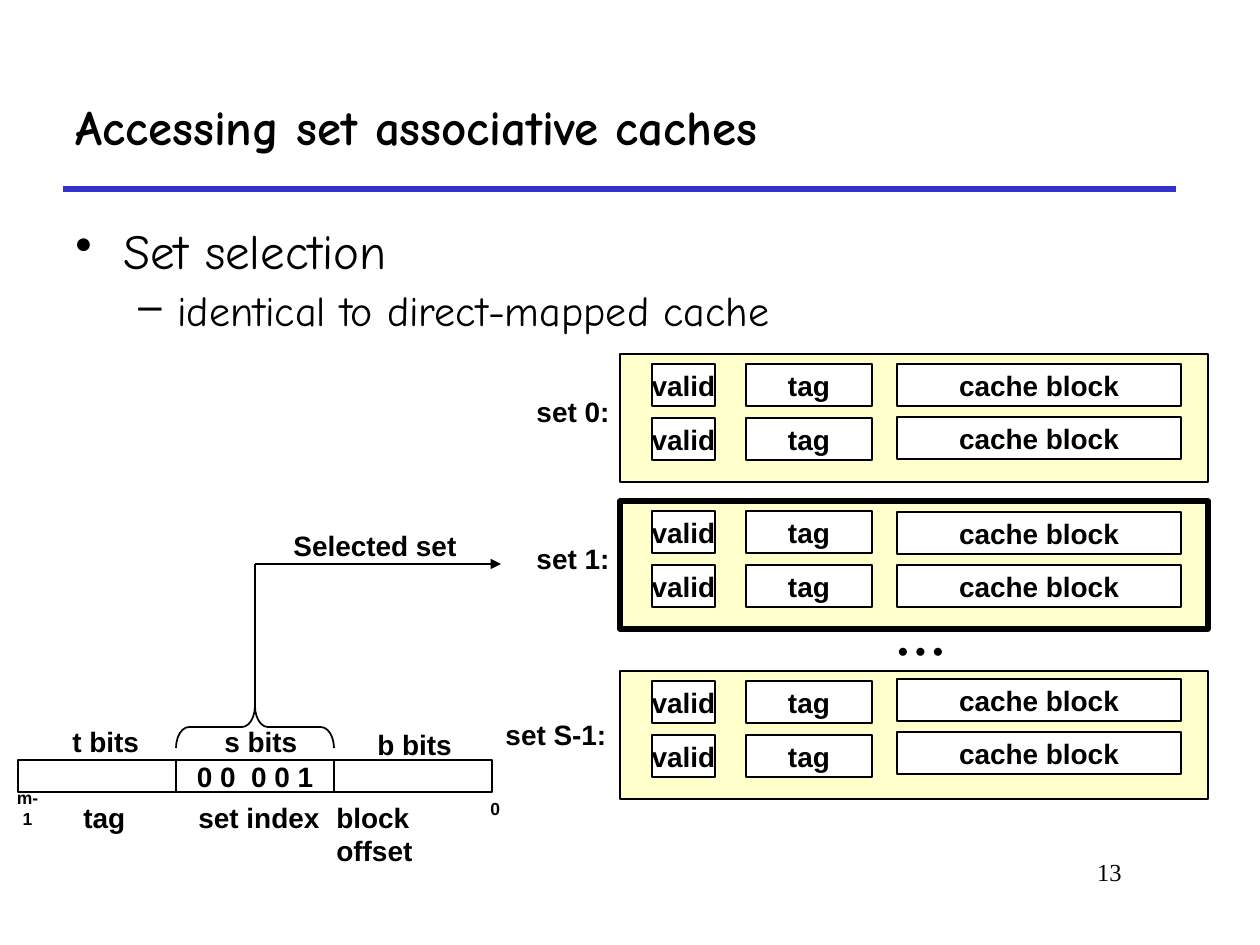
from lxml import etree
from pptx import Presentation
from pptx.dml.color import RGBColor
from pptx.enum.shapes import MSO_CONNECTOR, MSO_SHAPE
from pptx.enum.text import MSO_ANCHOR, PP_ALIGN
from pptx.oxml.ns import qn
from pptx.util import Pt

RECT, BRACE = MSO_SHAPE.RECTANGLE, MSO_SHAPE.RIGHT_BRACE
LINE = MSO_CONNECTOR.STRAIGHT
LEFT, MID, RIGHT = PP_ALIGN.LEFT, PP_ALIGN.CENTER, PP_ALIGN.RIGHT
TOP, CENTER = MSO_ANCHOR.TOP, MSO_ANCHOR.MIDDLE
BLACK = RGBColor(0, 0, 0)
WHITE = RGBColor(255, 255, 255)
CREAM = RGBColor(255, 255, 153)
BLUE = RGBColor(51, 51, 204)
PX = 914400 / 126

deck = Presentation()
deck.slide_width, deck.slide_height = round(1260 * PX), round(945 * PX)
slide = deck.slides.add_slide(deck.slide_layouts[6])
shapes = slide.shapes


def text(words, *, at, size=16, font="Arial", bold=True, align=MID,
         anchor=CENTER, wrap=False, box=False, fill=None, edge=1):
    area = [round(n * PX) for n in at]
    if box:
        shape = shapes.add_shape(RECT, *area)
        shape.shadow.inherit = False
        shape.line.color.rgb = BLACK
        shape.line.width = Pt(edge)
        if fill is None:
            shape.fill.background()
        else:
            shape.fill.solid()
            shape.fill.fore_color.rgb = fill
    else:
        shape = shapes.add_textbox(*area)
    frame = shape.text_frame
    frame.word_wrap = wrap
    frame.vertical_anchor = anchor
    para = frame.paragraphs[0]
    para.alignment = align
    if words:
        run = para.add_run()
        run.text = words
        run.font.size = Pt(size)
        run.font.name = font
        run.font.bold = bold
        run.font.color.rgb = BLACK
    return shape


def line(x1, y1, x2, y2, color=BLACK, width=1):
    wire = shapes.add_connector(LINE, *[round(n * PX) for n in (x1, y1, x2, y2)])
    wire.line.color.rgb = color
    wire.line.width = Pt(width)
    etree.SubElement(wire.element.spPr, qn("a:effectLst"))
    return wire


line(63, 189, 1176, 189, BLUE, 3)
text("13", at=(955, 851, 179, 63), size=14, font="Times New Roman",
     bold=False, align=RIGHT, anchor=TOP, wrap=True)
text("Accessing set associative caches", at=(63, 63, 1113, 126), size=28,
     font="Comic Neue", align=LEFT, wrap=True)

body = text("", at=(63, 221, 1144, 126), anchor=TOP, wrap=True).text_frame
body.add_paragraph()
items = [("Set selection", 28, 48, 48, "•", 0),
         ("identical to direct-mapped cache", 24, 102, 39, "–", 6)]
for level, (words, size, left, hang, mark, gap) in enumerate(items):
    para = body.paragraphs[level]
    para.alignment = LEFT
    para.level = level
    para.line_spacing = 0.9
    para.space_before = Pt(gap)
    props = para._p.get_or_add_pPr()
    props.set("marL", str(round(left * PX)))
    props.set("indent", str(round(-hang * PX)))
    etree.SubElement(props, qn("a:buChar"), char=mark)
    run = para.add_run()
    run.text = words
    run.font.size = Pt(size)
    run.font.name = "Comic Neue"
    run.font.color.rgb = BLACK

sets = [("set 0:", 354, 1, 524, 98, 364), ("set 1:", 501, 3, 524, 98, 512),
        ("set S-1:", 671, 1, 493, 126, 679)]
for name, top, edge, left, width, block in sets:
    panel = text("", at=(620, top, 588, 128), box=True, fill=CREAM, edge=edge)
    tint = panel.fill._xPr.find(qn("a:solidFill"))[0]
    etree.SubElement(tint, qn("a:alpha"), val="50000")
    for row in range(2):
        y = top + 10 + 54 * row
        text("valid", at=(652, y, 63, 42), box=True, fill=WHITE)
        text("tag", at=(746, y, 126, 42), box=True, fill=WHITE)
        text("cache block", at=(897, block + 53 * row, 284, 42), box=True, fill=WHITE)
    text(name, at=(left, top + 34 + 6 * (top == 671), width, 47))
text("• • •", at=(873, 629, 95, 42))

for col, bits in enumerate(["", "0 0  0 0 1", ""]):
    text(bits, at=(18 + 158 * col, 760, 158, 32), box=True)

labels = [("t bits", 60, 718, 92), ("s bits", 212, 718, 98), ("b bits", 365, 721, 100),
          ("tag", 71, 794, 67), ("set index", 186, 794, 146),
          ("block offset", 324, 794, 181)]
for words, x, y, width in labels:
    text(words, at=(x, y, width, 45), align=LEFT, anchor=TOP)
text("m-1", at=(0, 791, 55, 34), size=10)
text("0", at=(478, 791, 34, 34), size=10)
text("Selected set", at=(281, 522, 188, 47))

brace = shapes.add_shape(BRACE, *[round(n * PX) for n in (234, 648, 42, 158)])
brace.rotation = 270
brace.adjustments[0] = 0.31
brace.shadow.inherit = False
brace.fill.background()
brace.line.color.rgb = BLACK
brace.line.width = Pt(1)
line(255, 711, 255, 564)
arrow = line(255, 564, 501, 564)
etree.SubElement(arrow.line._get_or_add_ln(), qn("a:tailEnd"), type="triangle")

deck.save("out.pptx")
